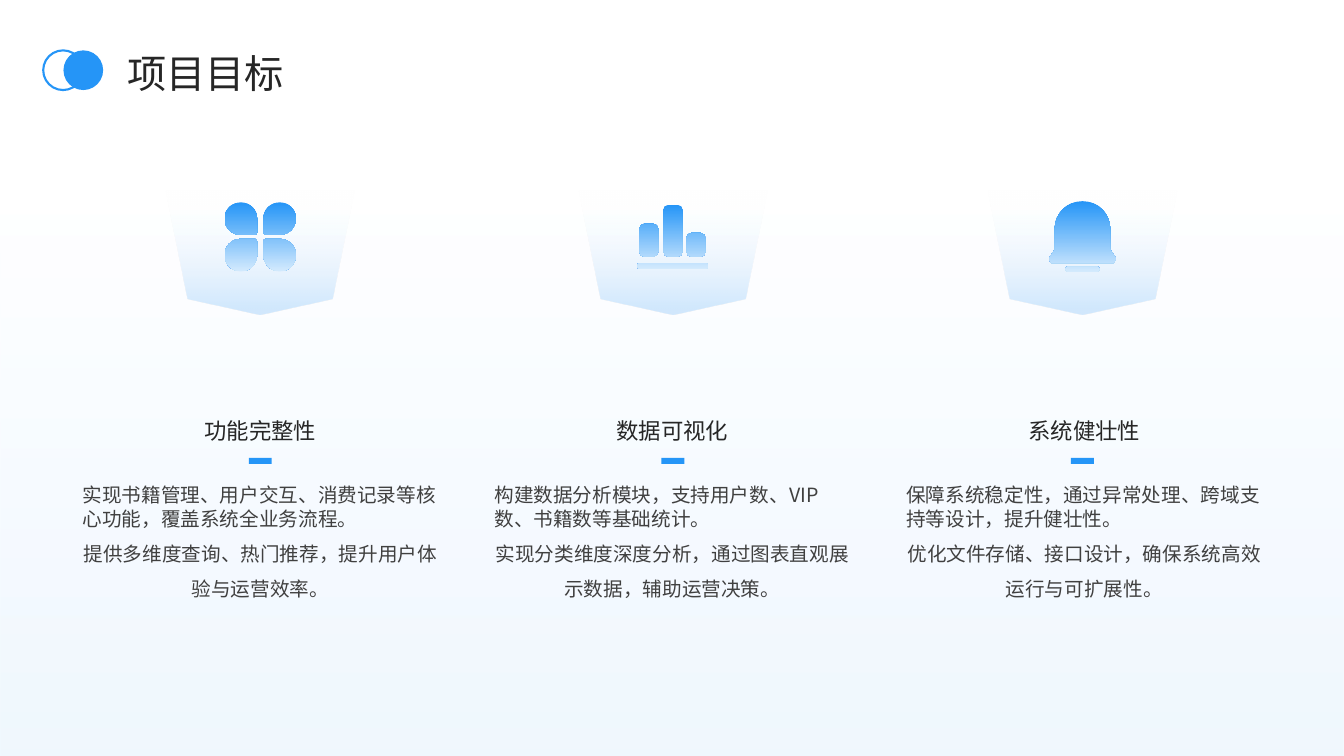
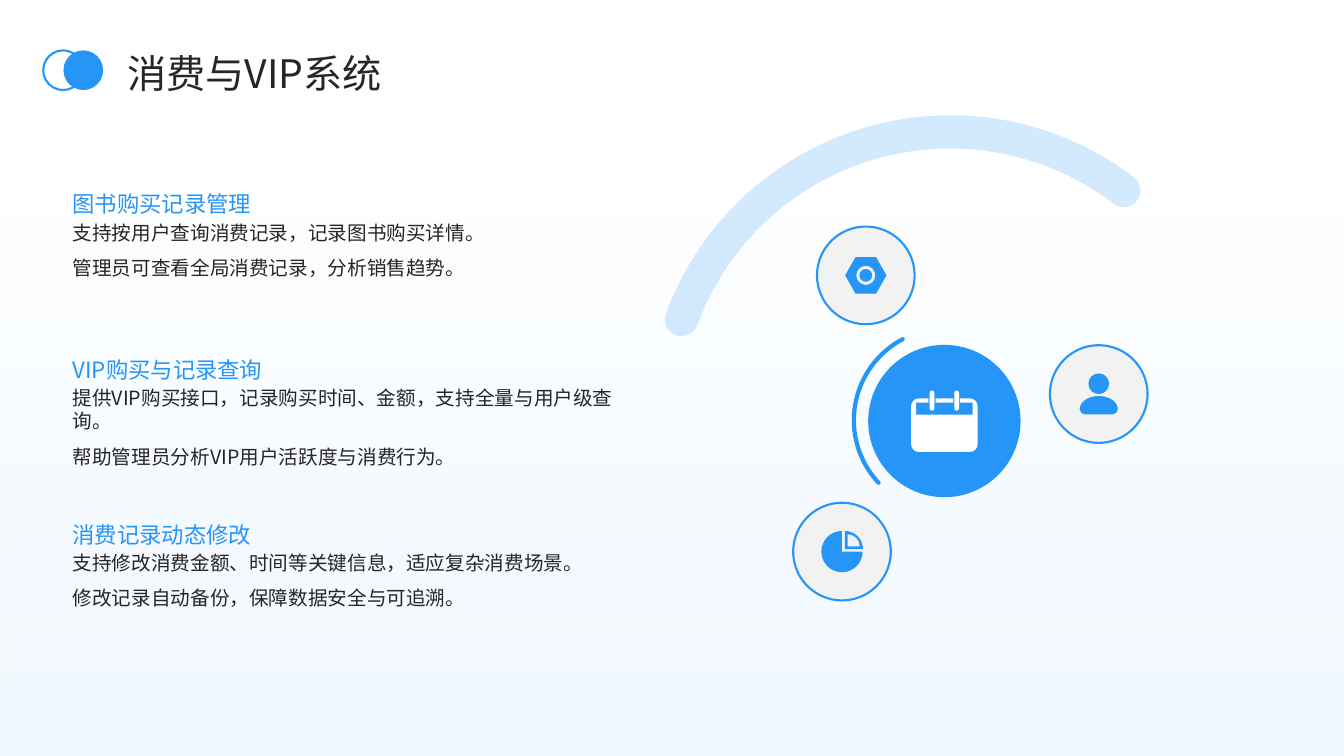
"""Build two slides: project goals, and the spending and VIP system."""
from dataclasses import dataclass
from math import ceil, cos, radians, sin, tan

from lxml.etree import SubElement
from pptx import Presentation
from pptx.dml.color import RGBColor
from pptx.enum.shapes import MSO_SHAPE as Preset
from pptx.enum.text import MSO_ANCHOR as Anchor, PP_ALIGN as Align
from pptx.oxml.ns import qn
from pptx.util import Cm, Pt


@dataclass(frozen=True)
class Theme:
    font: str = "Noto Sans CJK SC"
    accent: str = "2595F7"
    pale: str = "D3EAFD"
    white: str = "FFFFFF"
    disc: str = "F2F2F2"
    ink: str = "262626"
    soft_ink: str = "404040"
    title: int = 28
    heading: int = 16
    body: int = 14


THEME = Theme()
WIDTH, HEIGHT = 33.87, 19.05

GOALS_TITLE = "项目目标"
GOALS = [
    ("功能完整性", "clover", 6.56,
     ["实现书籍管理、用户交互、消费记录等核心功能，覆盖系统全业务流程。",
      "提供多维度查询、热门推荐，提升用户体验与运营效率。"]),
    ("数据可视化", "bars", 16.96,
     ["构建数据分析模块，支持用户数、VIP数、书籍数等基础统计。",
      "实现分类维度深度分析，通过图表直观展示数据，辅助运营决策。"]),
    ("系统健壮性", "bell", 27.28,
     ["保障系统稳定性，通过异常处理、跨域支持等设计，提升健壮性。",
      "优化文件存储、接口设计，确保系统高效运行与可扩展性。"]),
]

VIP_TITLE = "消费与VIP系统"
VIP_FEATURES = [
    ("图书购买记录管理",
     ["支持按用户查询消费记录，记录图书购买详情。",
      "管理员可查看全局消费记录，分析销售趋势。"]),
    ("VIP购买与记录查询",
     ["提供VIP购买接口，记录购买时间、金额，支持全量与用户级查询。",
      "帮助管理员分析VIP用户活跃度与消费行为。"]),
    ("消费记录动态修改",
     ["支持修改消费金额、时间等关键信息，适应复杂消费场景。",
      "修改记录自动备份，保障数据安全与可追溯。"]),
]
SATELLITES = [("nut", 21.82, 6.94), ("person", 27.69, 9.93), ("pie", 21.22, 13.9)]


def corners(*points):
    return [(point,) for point in points]


def curve(cx, cy, rx, ry, start, end):
    """Segments are one point for a line, three for a Bezier curve."""
    count = ceil((end - start) / 90)
    step = radians((end - start) / count)
    pull = 4 / 3 * tan(step / 4)

    def at(angle, tangent=0):
        return (cx + rx * (cos(angle) - tangent * sin(angle)),
                cy + ry * (sin(angle) + tangent * cos(angle)))

    angles = [radians(start) + step * i for i in range(count + 1)]
    return corners(at(angles[0])) + [(at(a, pull), at(b, -pull), at(b))
                                     for a, b in zip(angles, angles[1:])]


def circle(cx, cy, r):
    return curve(cx, cy, r, r, 0, 360)


def rounded(x, y, w, h, *radii):
    """Radii run clockwise from the top left; one value serves all corners."""
    tl, tr, br, bl = radii if len(radii) == 4 else radii * 4
    return (curve(x + tl, y + tl, tl, tl, 180, 270)
            + curve(x + w - tr, y + tr, tr, tr, 270, 360)
            + curve(x + w - br, y + h - br, br, br, 0, 90)
            + curve(x + bl, y + h - bl, bl, bl, 90, 180))


def box(x, y, w, h):
    return corners((x, y), (x + w, y), (x + w, y + h), (x, y + h))


def petals():
    big, small = 0.41, 0.06
    spots = [(-0.9, -0.87), (0.08, -0.87), (0.08, 0.05), (-0.9, 0.05)]
    return [rounded(x, y, 0.82, 0.82,
                    *(small if corner == (i + 2) % 4 else big for corner in range(4)))
            for i, (x, y) in enumerate(spots)]


ICONS = {
    "clover": petals(),
    "bars": [rounded(-0.9, 0.66, 1.8, 0.15, 0.07)]
            + [rounded(x, top, 0.48, 0.5 - top, 0.13)
               for x, top in [(-0.85, -0.33), (-0.24, -0.81), (0.34, -0.1)]],
    "bell": [curve(0, -0.2, 0.7, 0.7, 180, 360)
             + corners((0.7, 0.32), (0.85, 0.55), (0.79, 0.66),
                       (-0.79, 0.66), (-0.85, 0.55), (-0.7, 0.32)),
             rounded(-0.43, 0.75, 0.86, 0.13, 0.06)],
    "calendar": [rounded(-0.84, -0.57, 1.68, 1.35, 0.2), box(-0.71, -0.46, 1.42, 0.3)]
                + [part for x in (-0.31, 0.31)
                   for part in (box(x - 0.09, -0.57, 0.18, 0.11),
                                rounded(x - 0.06, -0.77, 0.12, 0.51, 0.06))],
    "nut": [corners((-0.52, 0), (-0.26, -0.46), (0.26, -0.46),
                    (0.52, 0), (0.26, 0.46), (-0.26, 0.46)),
            circle(0, 0, 0.24), circle(0, 0, 0.16)],
    "person": [circle(0, -0.26, 0.26),
               curve(0, 0.38, 0.48, 0.33, 180, 360)
               + curve(0.35, 0.38, 0.13, 0.13, 0, 90)
               + curve(-0.35, 0.38, 0.13, 0.13, 90, 180)],
    "pie": [curve(0, 0, 0.52, 0.52, 0, 270) + corners((0, 0)),
            curve(0.07, -0.06, 0.46, 0.46, 270, 360) + corners((0.07, -0.06)),
            curve(0.14, -0.13, 0.31, 0.31, 270, 360) + corners((0.14, -0.13))],
}


def rgb(colour):
    return RGBColor.from_string(colour)


def set_alpha(colour_element, percent):
    SubElement(colour_element, qn("a:alpha")).set("val", str(percent * 1000))


def paint(shape, fill=None, line=None, weight=1.5):
    shape.shadow.inherit = False
    if fill:
        shape.fill.solid()
        shape.fill.fore_color.rgb = rgb(fill)
    else:
        shape.fill.background()
    if line:
        shape.line.color.rgb = rgb(line)
        shape.line.width = Pt(weight)
    else:
        shape.line.fill.background()
    return shape


def paint_gradient(shape, stops, angle):
    """Stops are (position, colour, opacity percent); angle is counter-clockwise."""
    paint(shape).fill.gradient()
    shape.fill.gradient_angle = angle
    for stop, (position, colour, _) in zip(shape.fill.gradient_stops, stops):
        stop.position = position
        stop.color.rgb = rgb(colour)
    colours = shape.element.spPr.find(qn("a:gradFill")).iter(qn("a:srgbClr"))
    for element, (_, _, opacity) in zip(list(colours), stops):
        set_alpha(element, opacity)


def add_preset(slide, preset, x, y, w, h):
    return slide.shapes.add_shape(preset, Cm(x), Cm(y), Cm(w), Cm(h))


def add_disc(slide, cx, cy, size, **style):
    disc = add_preset(slide, Preset.OVAL, cx - size / 2, cy - size / 2, size, size)
    return paint(disc, **style)


def add_outline(slide, contours, cx, cy):
    placed = [[[(Cm(cx + x), Cm(cy + y)) for x, y in segment] for segment in contour]
              for contour in contours]
    builder = slide.shapes.build_freeform(*placed[0][0][0])
    for i, contour in enumerate(placed):
        if i:
            builder.move_to(*contour[0][0])
        builder.add_line_segments([p for segment in contour[1:] for p in segment])
        builder.add_line_segments([], close=True)
    shape = builder.convert_to_shape()
    lines = shape.element.spPr.iter(qn("a:lnTo"))
    lines = iter(list(lines))
    for segment in (s for contour in placed for s in contour[1:]):
        run = [next(lines) for _ in segment]
        if len(run) == 3:
            bend = SubElement(run[0].getparent(), qn("a:cubicBezTo"))
            run[0].addprevious(bend)
            for line in run:
                bend.append(line[0])
                line.getparent().remove(line)
    return shape


def add_arc(slide, cx, cy, size, start, end, weight, opacity=100):
    arc = add_preset(slide, Preset.ARC, cx - size / 2, cy - size / 2, size, size)
    arc.adjustments[0], arc.adjustments[1] = start * 0.6, end * 0.6
    paint(arc, line=THEME.accent, weight=weight)
    stroke = arc.element.spPr.find(qn("a:ln"))
    stroke.set("cap", "rnd")
    set_alpha(next(stroke.iter(qn("a:srgbClr"))), opacity)


def add_text(slide, place, lines, size, colour, anchor=Anchor.TOP):
    """Lines are (text, line spacing, alignment)."""
    frame = slide.shapes.add_textbox(*map(Cm, place)).text_frame
    frame.word_wrap = True
    frame.vertical_anchor = anchor
    frame.margin_left = frame.margin_right = frame.margin_top = frame.margin_bottom = 0
    frame.text = "\n".join(text for text, _, _ in lines)
    for paragraph, (_, spacing, align) in zip(frame.paragraphs, lines):
        paragraph.line_spacing = spacing
        paragraph.alignment = align
        paragraph._p.get_or_add_pPr().set("hangingPunct", "0")
        for run in paragraph.runs:
            run.font.size = Pt(size)
            run.font.name = THEME.font
            run.font.color.rgb = rgb(colour)
            SubElement(run.font._element, qn("a:ea")).set("typeface", THEME.font)


def add_body(slide, place, texts, colour, last_align):
    first, last = texts
    add_text(slide, place, [(first, 1.0, Align.LEFT), (last, 1.5, last_align)],
             THEME.body, colour)


def start_slide(deck, title):
    slide = deck.slides.add_slide(deck.slide_layouts[6])
    paint_gradient(add_preset(slide, Preset.RECTANGLE, 0, 0, WIDTH, HEIGHT),
                   [(0, THEME.pale, 35), (0.74, THEME.white, 37)], 90)
    add_text(slide, (3.21, 1.12, 27.74, 1.19), [(title, 1.2, Align.LEFT)],
             THEME.title, THEME.ink, Anchor.MIDDLE)
    add_disc(slide, 1.59, 1.77, 1, line=THEME.accent)
    add_disc(slide, 2.1, 1.77, 1, fill=THEME.accent)
    return slide


def build_goals(deck):
    slide = start_slide(deck, GOALS_TITLE)
    left, step, width = 2.08, 10.38, 8.97
    plate = corners((-2.38, 4.78), (2.38, 4.78), (1.82, 7.52), (0, 7.92), (-1.82, 7.52))
    for i, (heading, icon, centre, texts) in enumerate(GOALS):
        x = left + i * step
        paint_gradient(add_outline(slide, [plate], centre, 0),
                       [(0.05, THEME.accent, 20), (1, THEME.white, 0)], 90)
        paint_gradient(add_outline(slide, ICONS[icon], centre, 5.97),
                       [(0, THEME.accent, 100), (1, THEME.pale, 100)], 270)
        add_text(slide, (x, 9.05, width, 2.13), [(heading, 1.3, Align.CENTER)],
                 THEME.heading, THEME.ink, Anchor.BOTTOM)
        paint(add_preset(slide, Preset.RECTANGLE, centre - 0.29, 11.54, 0.58, 0.15),
              fill=THEME.accent)
        add_body(slide, (x, 12.17, width, 4.34), texts, THEME.soft_ink, Align.CENTER)


def build_vip(deck):
    slide = start_slide(deck, VIP_TITLE)
    left, top, step, width = 1.83, 4.11, 4.16, 13.69
    for i, (heading, texts) in enumerate(VIP_FEATURES):
        y = top + i * step
        add_text(slide, (left, y, width, 1.37), [(heading, 1.5, Align.LEFT)],
                 THEME.heading, THEME.accent, Anchor.BOTTOM)
        add_body(slide, (left, y + 1.45, width, 2.77), texts, THEME.ink, Align.LEFT)

    add_arc(slide, 23.95, 10.54, 14.43, 200.2, 307.3, 23.75, 20)
    add_arc(slide, 23.83, 10.59, 4.62, 137, 242.1, 3)
    hub = 23.8, 10.61
    add_disc(slide, *hub, 3.84, fill=THEME.accent)
    paint(add_outline(slide, ICONS["calendar"], *hub), fill=THEME.white)
    for icon, cx, cy in SATELLITES:
        add_disc(slide, cx, cy, 2.46, fill=THEME.disc, line=THEME.accent)
        paint(add_outline(slide, ICONS[icon], cx, cy), fill=THEME.accent)


def main():
    deck = Presentation()
    deck.slide_width, deck.slide_height = Cm(WIDTH), Cm(HEIGHT)
    build_goals(deck)
    build_vip(deck)
    deck.save("out.pptx")


if __name__ == "__main__":
    main()
